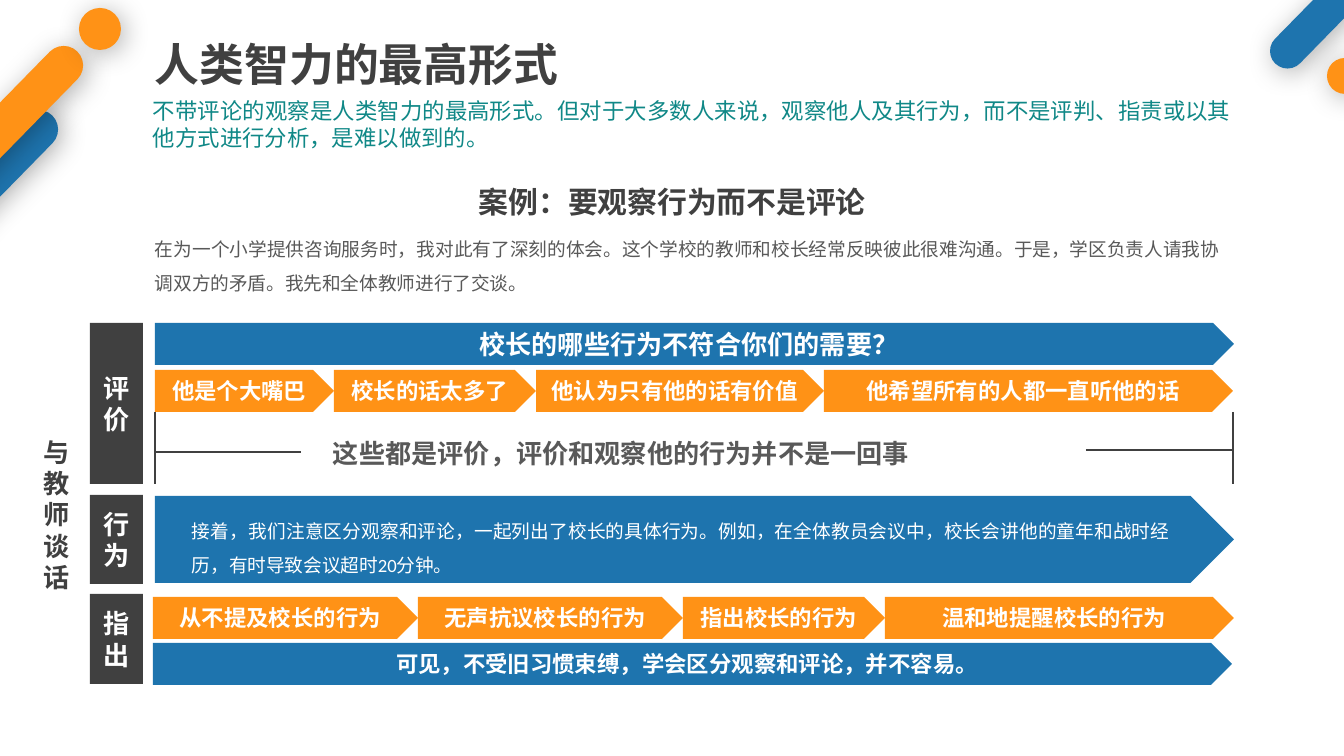
"""Build the slide on observation without judgement, with its teacher-talk diagram."""
from dataclasses import dataclass
from itertools import accumulate

from lxml import etree
from pptx import Presentation
from pptx.dml.color import RGBColor
from pptx.enum.shapes import MSO_CONNECTOR, MSO_SHAPE
from pptx.enum.text import MSO_ANCHOR, PP_ALIGN
from pptx.oxml.ns import qn
from pptx.util import Pt

PX = 9144000 / 1344
PLATE, RECT = MSO_SHAPE.PENTAGON, MSO_SHAPE.RECTANGLE
PILL, DOT = MSO_SHAPE.ROUNDED_RECTANGLE, MSO_SHAPE.OVAL
STRAIGHT = MSO_CONNECTOR.STRAIGHT
TOP, MIDDLE = MSO_ANCHOR.TOP, MSO_ANCHOR.MIDDLE
CENTER, JUSTIFY, LEFT = PP_ALIGN.CENTER, PP_ALIGN.JUSTIFY, PP_ALIGN.LEFT


@dataclass(frozen=True)
class Theme:
    """Colours, fonts and type sizes of the slide."""

    blue: str = "1E74AE"
    orange: str = "FF9216"
    dark: str = "404040"
    grey: str = "595959"
    teal: str = "108887"
    white: str = "FFFFFF"
    shadow: str = "000000"
    body_font: str = "Calibri"
    title_font: str = "Noto Sans CJK SC"
    title: int = 24
    heading: int = 16
    strong: int = 14
    tag: int = 12
    body: int = 10


THEME = Theme()


def px(*lengths):
    """Turn pixel lengths into EMU."""
    return [round(length * PX) for length in lengths]


def apply(target, values):
    """Set every attribute named in a dict."""
    for name, value in values.items():
        setattr(target, name, value)


def write(frame, paragraphs, size, color, bold=False, align=CENTER, anchor=MIDDLE,
          inset=(0, 0), spacing=None, font=THEME.body_font):
    """Fill a text frame with evenly formatted paragraphs."""
    side, edge = px(*inset)
    apply(frame, {"word_wrap": True, "vertical_anchor": anchor,
                  "margin_left": side, "margin_right": side,
                  "margin_top": edge, "margin_bottom": edge})
    for index, words in enumerate(paragraphs):
        paragraph = frame.add_paragraph() if index else frame.paragraphs[0]
        apply(paragraph, {"alignment": align, "line_spacing": spacing})
        run = paragraph.add_run()
        run.text = words
        apply(run.font, {"size": Pt(size), "bold": bold, "name": font})
        run.font.color.rgb = RGBColor.from_string(color)
        east_asian = etree.SubElement(run._r.get_or_add_rPr(), qn("a:ea"))
        east_asian.set("typeface", font)


def add_text(slide, box, words, size, color, **options):
    """Add a text box with one or more paragraphs."""
    frame = slide.shapes.add_textbox(*px(*box)).text_frame
    write(frame, words, size, color, **{"anchor": TOP, **options})


def add_block(slide, kind, box, color):
    """Add a flat filled shape."""
    block = slide.shapes.add_shape(kind, *px(*box))
    block.shadow.inherit = False
    block.fill.solid()
    block.fill.fore_color.rgb = RGBColor.from_string(color)
    block.line.fill.background()
    return block


def add_plate(slide, box, color, words, size):
    """Add an arrow plate with a bold caption."""
    plate = add_block(slide, PLATE, box, color)
    write(plate.text_frame, [words], size, THEME.white, bold=True, inset=(4, 0))


def add_plate_row(slide, left, top, steps):
    """Chain orange plates from left to right."""
    lefts = accumulate((width for _, width in steps), initial=left)
    for (words, width), start in zip(steps, lefts):
        add_plate(slide, (start, top, width, 42), THEME.orange, words, THEME.tag)


def add_stage(slide, top, height, paragraphs):
    """Add a dark stage label whose characters stack."""
    stage = add_block(slide, RECT, (90, top, 53, height), THEME.dark)
    write(stage.text_frame, paragraphs, THEME.strong, THEME.white, bold=True, inset=(13, 7))


def add_rule(slide, ends):
    """Add a dark bracket line."""
    rule = slide.shapes.add_connector(STRAIGHT, *px(*ends))
    rule.line.width = Pt(1.5)
    rule.line.color.rgb = RGBColor.from_string(THEME.dark)
    etree.SubElement(rule._element.spPr, qn("a:effectLst"))


def add_ornament(slide, kind, box, color):
    """Add a corner pill or dot with a soft shadow."""
    ornament = add_block(slide, kind, box, color)
    if kind == PILL:
        ornament.adjustments[0] = 0.5
        ornament.rotation = 44.4
    effects = ornament._element.spPr.find(qn("a:effectLst"))
    shadow = etree.SubElement(effects, qn("a:outerShdw"), blurRad=str(Pt(15)),
                              dist=str(Pt(3)), dir="2700000", algn="tl", rotWithShape="0")
    tint = etree.SubElement(shadow, qn("a:srgbClr"), val=THEME.shadow)
    etree.SubElement(tint, qn("a:alpha"), val="30000")


def add_header(slide):
    """Add the corner ornaments, title and introduction."""
    for kind, box, color in (
        (PILL, (-47, 83, 39, 228), THEME.blue),
        (PILL, (1347, -155, 35, 255), THEME.blue),
        (DOT, (1327, 58, 36, 36), THEME.orange),
        (PILL, (-22, 19, 39, 228), THEME.orange),
        (DOT, (79, 8, 42, 42), THEME.orange),
    ):
        add_ornament(slide, kind, box, color)
    add_text(slide, (142, 30, 445, 67), ["人类智力的最高形式"], THEME.title, THEME.dark,
             bold=True, align=LEFT, anchor=MIDDLE, inset=(13, 7), font=THEME.title_font)
    add_text(slide, (153, 97, 1079, 54),
             ["不带评论的观察是人类智力的最高形式。但对于大多数人来说，观察他人及其行为，"
              "而不是评判、指责或以其他方式进行分析，是难以做到的。"],
             THEME.tag, THEME.teal, align=JUSTIFY)
    add_text(slide, (461, 184, 423, 36), ["案例：要观察行为而不是评论"],
             THEME.heading, THEME.dark, bold=True)
    add_text(slide, (142, 220, 1090, 78),
             ["在为一个小学提供咨询服务时，我对此有了深刻的体会。这个学校的教师和校长经常反映彼此很难沟通。"
              "于是，学区负责人请我协调双方的矛盾。我先和全体教师进行了交谈。"],
             THEME.body, THEME.grey, align=JUSTIFY, inset=(13, 7), spacing=1.5)


def add_diagram(slide):
    """Add the three stages of the talk with the teachers."""
    add_text(slide, (35, 436, 43, 159), ["与教师", "谈话"], THEME.strong, THEME.dark, bold=True)
    for top, height, paragraphs in ((323, 161, ["评", "价"]), (495, 89, ["行为"]),
                                    (594, 90, ["指出"])):
        add_stage(slide, top, height, paragraphs)

    add_plate(slide, (155, 323, 1079, 42), THEME.blue,
              "校长的哪些行为不符合你们的需要？", THEME.strong)
    add_plate_row(slide, 155, 370, (
        ("他是个大嘴巴", 179), ("校长的话太多了", 202),
        ("他认为只有他的话有价值", 288), ("他希望所有的人都一直听他的话", 409)))
    for ends in ((155, 412, 155, 484), (1233, 412, 1233, 484),
                 (155, 452, 301, 452), (1086, 450, 1233, 450)):
        add_rule(slide, ends)
    add_text(slide, (333, 437, 722, 32), ["这些都是评价，评价和观察他的行为并不是一回事"],
             THEME.strong, THEME.grey, bold=True, align=JUSTIFY)

    add_block(slide, PLATE, (155, 496, 1079, 87), THEME.blue)
    add_text(slide, (179, 502, 1004, 78),
             ["接着，我们注意区分观察和评论，一起列出了校长的具体行为。例如，在全体教员会议中，"
              "校长会讲他的童年和战时经历，有时导致会议超时20分钟。"],
             THEME.body, THEME.white, align=JUSTIFY, inset=(13, 7), spacing=1.5)

    add_plate_row(slide, 153, 597, (
        ("从不提及校长的行为", 265), ("无声抗议校长的行为", 265),
        ("指出校长的行为", 202), ("温和地提醒校长的行为", 349)))
    add_plate(slide, (153, 643, 1079, 42), THEME.blue,
              "可见，不受旧习惯束缚，学会区分观察和评论，并不容易。", THEME.tag)


def main():
    """Create the deck and save it."""
    deck = Presentation()
    deck.slide_width, deck.slide_height = px(1344, 756)
    slide = deck.slides.add_slide(deck.slide_layouts[6])
    add_header(slide)
    add_diagram(slide)
    deck.save("out.pptx")


if __name__ == "__main__":
    main()
